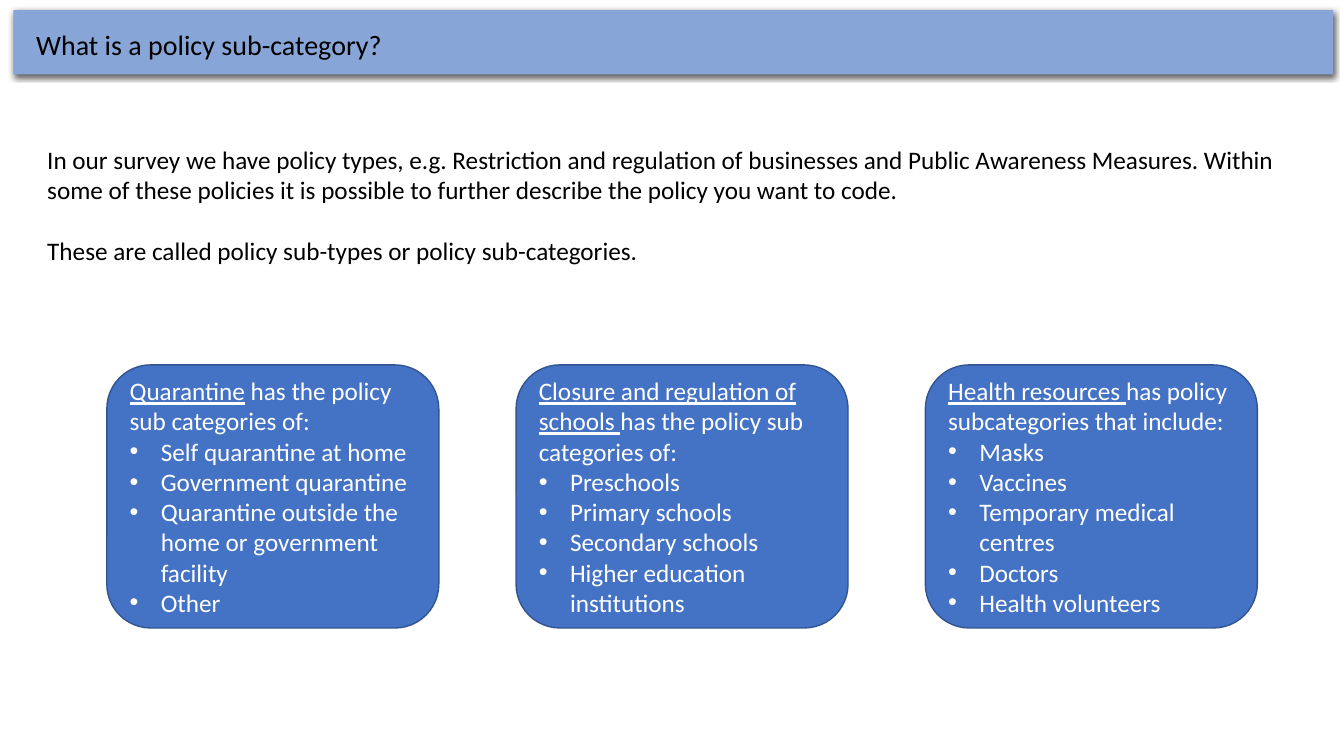
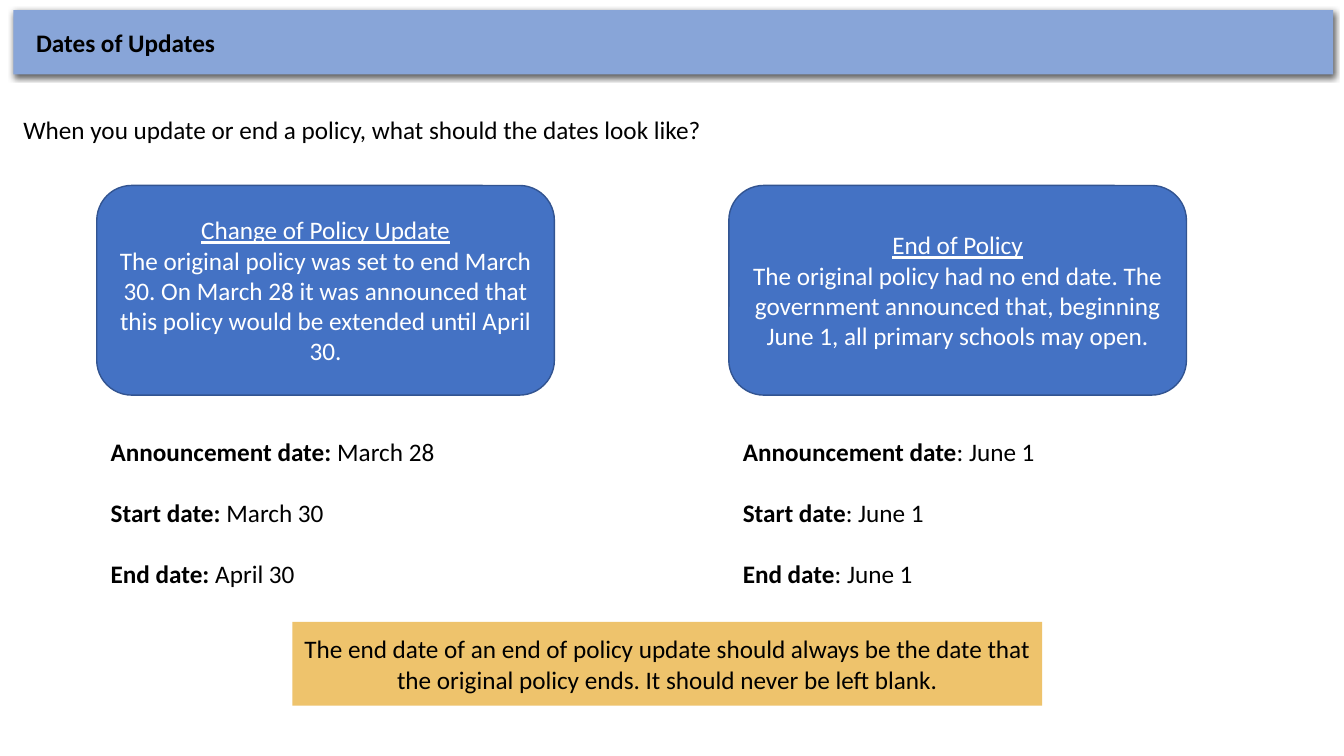
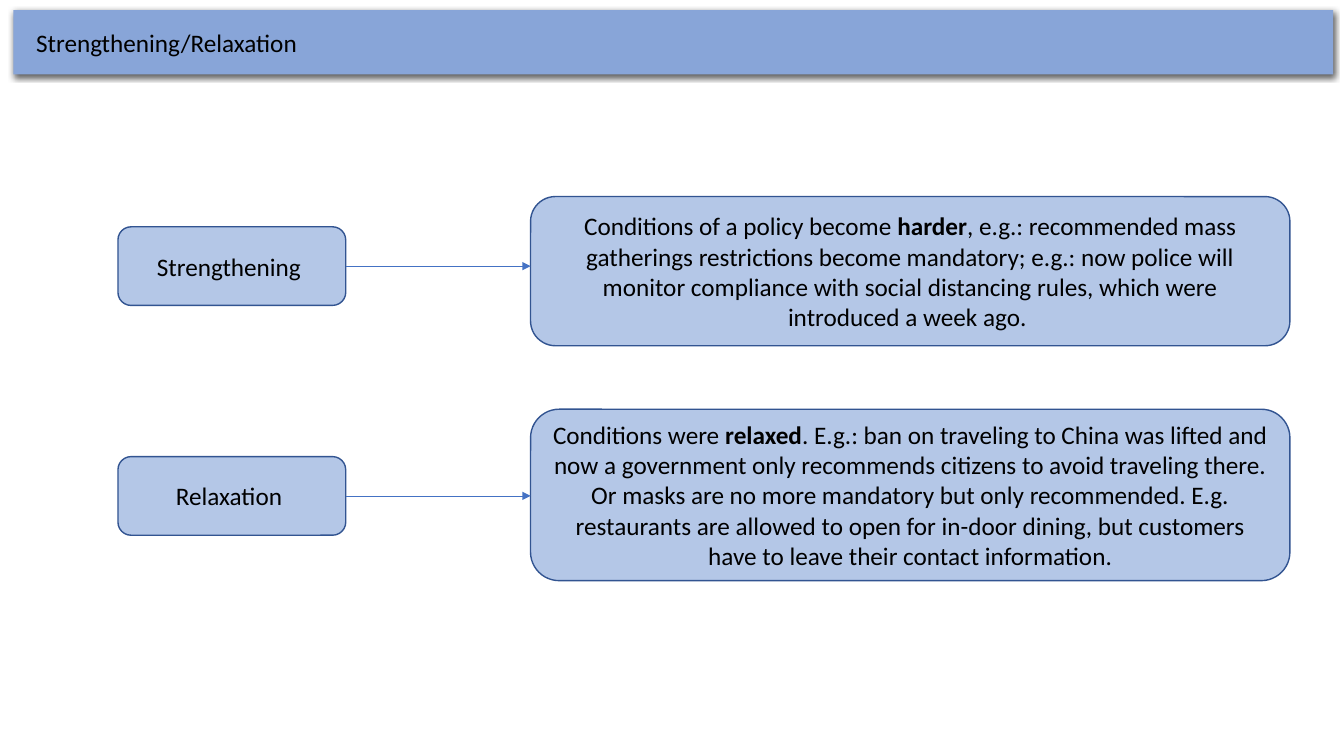
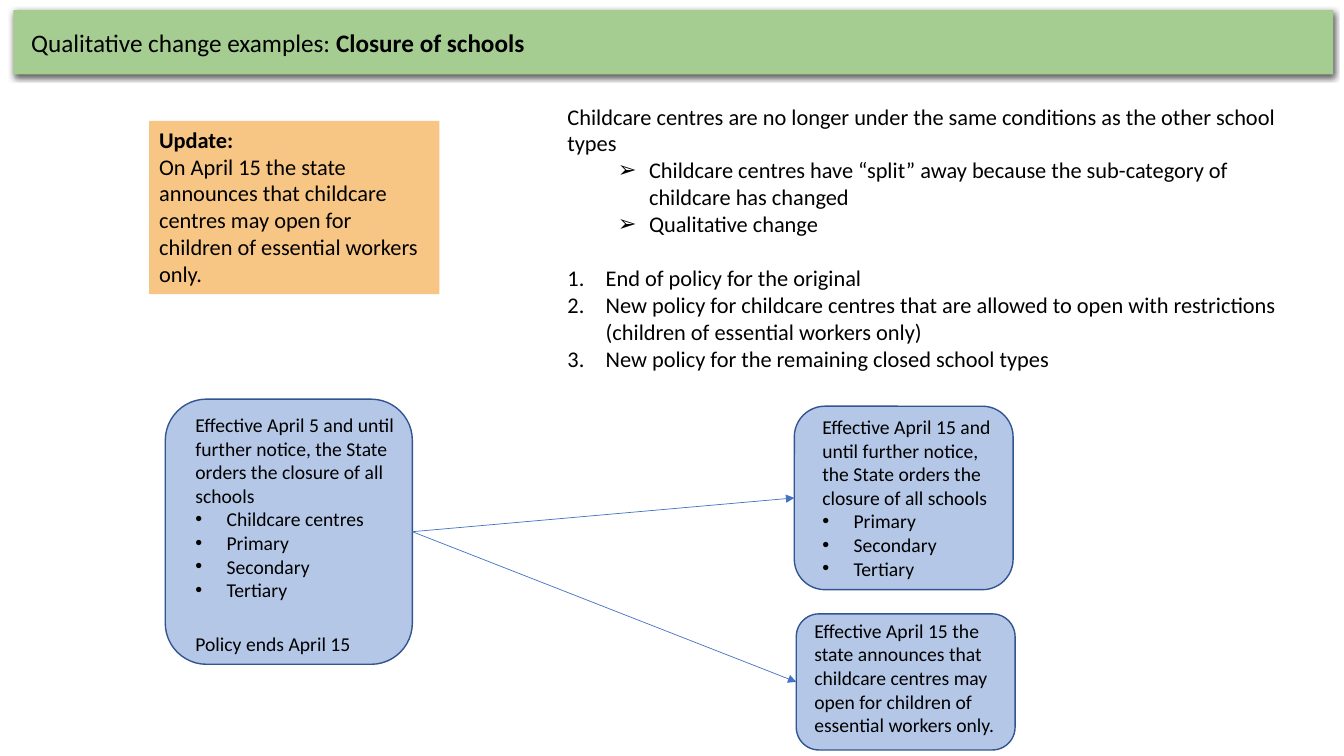
from dataclasses import dataclass
from typing import NamedTuple

from lxml import etree
from pptx import Presentation
from pptx.dml.color import RGBColor
from pptx.enum.shapes import MSO_CONNECTOR, MSO_SHAPE
from pptx.enum.text import MSO_ANCHOR, PP_ALIGN
from pptx.oxml.ns import qn
from pptx.util import Emu, Inches, Pt

RECT, ROUND = MSO_SHAPE.RECTANGLE, MSO_SHAPE.ROUNDED_RECTANGLE
STRAIGHT = MSO_CONNECTOR.STRAIGHT
LEFT, CENTER = PP_ALIGN.LEFT, PP_ALIGN.CENTER
TOP, MIDDLE = MSO_ANCHOR.TOP, MSO_ANCHOR.MIDDLE

WIDE, HIGH = Inches(13.333), Inches(7.5)
FONT = "Calibri"
COLORS = {
    "band": "88A5D8", "green": "A5CD92", "card": "4472C4", "pale": "B4C7E7",
    "edge": "325491", "arrow": "4472C4", "gold": "EEC36C", "peach": "F7C685",
    "ink": "000000", "white": "FFFFFF",
}
# List kind: left margin and hanging indent in inches, bullet sign
LISTS = {"dot": (0.31, 0.31, "•"), "tip": (0.81, 0.31, "➢"), "num": (0.38, 0.38, "")}


class Box(NamedTuple):
    """Place and size as percent of the slide's width and height."""
    x: float
    y: float
    w: float
    h: float


class Run(NamedTuple):
    text: str
    bold: bool = False
    under: bool = False


@dataclass
class Para:
    runs: list[Run]
    kind: str = ""
    gap: float = 0


@dataclass
class Style:
    size: int = 18
    ink: str = "ink"
    align: PP_ALIGN = LEFT
    anchor: MSO_ANCHOR = TOP


BODY, NOTE, SMALL = Style(), Style(16), Style(14)
MID = Style(align=CENTER, anchor=MIDDLE)
LIST = Style(ink="white", anchor=MIDDLE)
CARD = Style(ink="white", align=CENTER, anchor=MIDDLE)


def across(share: float) -> Emu:
    return Emu(round(WIDE * share / 100))


def down(share: float) -> Emu:
    return Emu(round(HIGH * share / 100))


def frame(box: Box) -> tuple[Emu, Emu, Emu, Emu]:
    return across(box.x), down(box.y), across(box.w), down(box.h)


def color(name: str) -> RGBColor:
    return RGBColor.from_string(COLORS[name])


def plain(text: str, gap: float = 0) -> Para:
    return Para([Run(text)], gap=gap)


def items(kind: str, *texts: str, gap: float = 0) -> list[Para]:
    return [Para([Run(t)], kind, 0 if i else gap) for i, t in enumerate(texts)]


# Text

def bullet(para, kind: str) -> None:
    left, hang, sign = LISTS[kind]
    props = para._p.get_or_add_pPr()
    props.set("marL", str(Inches(left)))
    props.set("indent", str(-Inches(hang)))
    if sign:
        etree.SubElement(props, qn("a:buFont"), typeface="Arial")
        etree.SubElement(props, qn("a:buChar"), char=sign)
    else:
        etree.SubElement(props, qn("a:buAutoNum"), type="arabicPeriod")


def write(shape, paras: list[Para], style: Style) -> None:
    body = shape.text_frame
    body.word_wrap = True
    body.vertical_anchor = style.anchor
    for i, para in enumerate(paras):
        line = body.add_paragraph() if i else body.paragraphs[0]
        line.alignment = style.align
        if para.gap:
            line.space_before = Pt(para.gap)
        if para.kind:
            bullet(line, para.kind)
        for part in para.runs:
            run = line.add_run()
            run.text = part.text
            font = run.font
            font.name, font.size = FONT, Pt(style.size)
            font.bold, font.underline = part.bold, part.under
            font.color.rgb = color(style.ink)


def label(slide, box: Box, paras: list[Para], style: Style = BODY) -> None:
    write(slide.shapes.add_textbox(*frame(box)), paras, style)


# Shapes

def block(slide, box: Box, fill: str, paras: list[Para], style: Style = MID,
          form: MSO_SHAPE = ROUND):
    shape = slide.shapes.add_shape(form, *frame(box))
    shape.shadow.inherit = False
    shape.fill.solid()
    shape.fill.fore_color.rgb = color(fill)
    if form == ROUND:
        shape.line.color.rgb = color("edge")
        shape.line.width = Pt(1)
    else:
        shape.line.fill.background()
    write(shape, paras, style)
    return shape


def arrow(slide, x1: float, y1: float, x2: float, y2: float) -> None:
    link = slide.shapes.add_connector(
        STRAIGHT, across(x1), down(y1), across(x2), down(y2))
    link.line.color.rgb = color("arrow")
    link.line.width = Pt(0.5)
    props = link._element.spPr
    etree.SubElement(props.find(qn("a:ln")), qn("a:tailEnd"), type="triangle")
    etree.SubElement(props, qn("a:effectLst"))


def start(deck, title: list[Run], size: int = 18, fill: str = "band", x: float = 1.95):
    """Add a slide with its shadowed title band."""
    slide = deck.slides.add_slide(deck.slide_layouts[6])
    band = block(slide, Box(1, 1.33, 98.2, 8.5), fill, [], form=RECT)
    effect = band._element.spPr.find(qn("a:effectLst"))
    cast = etree.SubElement(
        effect, qn("a:outerShdw"), blurRad=str(Pt(4.5)), dist=str(Pt(1.5)),
        dir="5400000", algn="ctr", rotWithShape="0")
    tone = etree.SubElement(cast, qn("a:srgbClr"), val=COLORS["ink"])
    etree.SubElement(tone, qn("a:alpha"), val="63000")
    label(slide, Box(x, 2.93, 69.5, 5.33), [Para(title)], Style(size))
    return slide


# Slides

def types(deck) -> None:
    slide = start(deck, [Run("What is a policy sub-category?")], 20)
    label(slide, Box(2.78, 18.4, 97.2, 21.6), [
        plain("In our survey we have policy types, e.g. Restriction and regulation of "
              "businesses and Public Awareness Measures. Within some of these policies "
              "it is possible to further describe the policy you want to code."),
        plain("These are called policy sub-types or policy sub-categories.", 22),
    ])
    cards = [
        ("Quarantine", " has the policy sub categories of:",
         ["Self quarantine at home", "Government quarantine",
          "Quarantine outside the home or government facility", "Other"]),
        ("Closure and regulation of schools ", "has the policy sub categories of:",
         ["Preschools", "Primary schools", "Secondary schools",
          "Higher education institutions"]),
        ("Health resources ", "has policy subcategories that include:",
         ["Masks", "Vaccines", "Temporary medical centres", "Doctors",
          "Health volunteers"]),
    ]
    for i, (name, rest, parts) in enumerate(cards):
        head = Para([Run(name, under=True), Run(rest)])
        block(slide, Box(7.95 + 30.45 * i, 48.27, 24.7, 34.8), "card",
              [head, *items("dot", *parts)], LIST)


def dates(deck) -> None:
    slide = start(deck, [Run("Dates of Updates", True)])
    label(slide, Box(1, 14.4, 97.2, 5.33), [
        plain("When you update or end a policy, what should the dates look like?")])
    cases = [
        ("Change of Policy Update",
         "The original policy was set to end March 30. On March 28 it was announced "
         "that this policy would be extended until April 30.",
         [("Announcement date:", " March 28"), ("Start date: ", "March 30"),
          ("End date: ", "April 30")]),
        ("End of Policy",
         "The original policy had no end date. The government announced that, "
         "beginning June 1, all primary schools may open.",
         [("Announcement date", ": June 1"), ("Start date", ": June 1"),
          ("End date", ": June 1")]),
    ]
    for i, (name, story, days) in enumerate(cases):
        shift = 47.03 * i
        block(slide, Box(7.2 + shift, 24.53, 34.05, 27.73), "card",
              [Para([Run(name, under=True)]), plain(story)], CARD)
        label(slide, Box(7.5 + shift, 57, 33.45, 21.6), [
            Para([Run(key, True), Run(day)], gap=22 if n else 0)
            for n, (key, day) in enumerate(days)])
    block(slide, Box(21.75, 82.27, 55.8, 11.07), "gold", [
        plain("The end date of an end of policy update should always be the date that "
              "the original policy ends. It should never be left blank.")], form=RECT)


def changes(deck) -> None:
    slide = start(deck, [Run("Strengthening/Relaxation")])
    x, w, h, far = 8.78, 16.95, 10.4, 39.48
    rows = [
        ("Strengthening ", 30, 26, 19.73,
         [Run("Conditions of a policy become "), Run("harder", True),
          Run(", e.g.: recommended mass gatherings restrictions become mandatory; "
              "e.g.: now police will monitor compliance with social distancing rules, "
              "which were introduced a week ago. ")]),
        ("Relaxation ", 60.4, 54.13, 22.67,
         [Run("Conditions were "), Run("relaxed", True),
          Run(". E.g.: ban on traveling to China was lifted and now a government only "
              "recommends citizens to avoid traveling there. Or masks are no more "
              "mandatory but only recommended. E.g. restaurants are allowed to open "
              "for in-door dining, but customers have to leave their contact "
              "information.")]),
    ]
    for name, y, top, tall, story in rows:
        block(slide, Box(x, y, w, h), "pale", [plain(name)])
        block(slide, Box(far, top, 56.5, tall), "pale", [Para(story)])
        arrow(slide, x + w, y + h / 2, far, y + h / 2)


def schools(deck) -> None:
    slide = start(deck, [Run("Qualitative change examples: "),
                         Run("Closure of schools", True)], fill="green", x=1.58)
    block(slide, Box(11.1, 16, 21.6, 22.93), "peach", [
        Para([Run("Update:", True)]),
        plain("On April 15 the state announces that childcare centres may open for "
              "children of essential workers only."),
    ], NOTE, RECT)
    label(slide, Box(41.48, 12.93, 56.85, 37.2), [
        plain("Childcare centres are no longer under the same conditions as the other "
              "school types"),
        *items("tip", "Childcare centres have “split” away because the sub-category "
               "of childcare has changed", "Qualitative change"),
        *items("num", "End of policy for the original",
               "New policy for childcare centres that are allowed to open with "
               "restrictions (children of essential workers only)",
               "New policy for the remaining closed school types", gap=19.5),
    ], NOTE)

    # Policy before and after the split: outline, text box, paragraphs
    levels = ["Primary", "Secondary", "Tertiary"]
    order = "until further notice, the State orders the closure of all schools"
    old = Box(12.3, 52.8, 18.38, 35.07)
    kept = Box(59.1, 53.73, 16.28, 24.27)
    split = Box(59.25, 81.2, 16.28, 18)
    policies = [
        (old, Box(13.8, 54, 16.28, 33),
         [plain(f"Effective April 5 and {order}"),
          *items("dot", "Childcare centres", *levels),
          plain("Policy ends April 15", 22)]),
        (kept, Box(60.45, 54.27, 15.08, 23.5),
         [plain(f"Effective April 15 and {order}"), *items("dot", *levels)]),
        (split, Box(59.85, 81.2, 15.08, 17),
         [plain("Effective April 15 the state announces that childcare centres may "
                "open for children of essential workers only.")]),
    ]
    for shell, area, paras in policies:
        block(slide, shell, "pale", [])
        label(slide, area, paras, SMALL)
    for goal in (kept, split):
        arrow(slide, old.x + old.w, old.y + old.h / 2, goal.x, goal.y + goal.h / 2)


def main() -> None:
    deck = Presentation()
    deck.slide_width, deck.slide_height = WIDE, HIGH
    for build in (types, dates, changes, schools):
        build(deck)
    deck.save("out.pptx")


if __name__ == "__main__":
    main()
